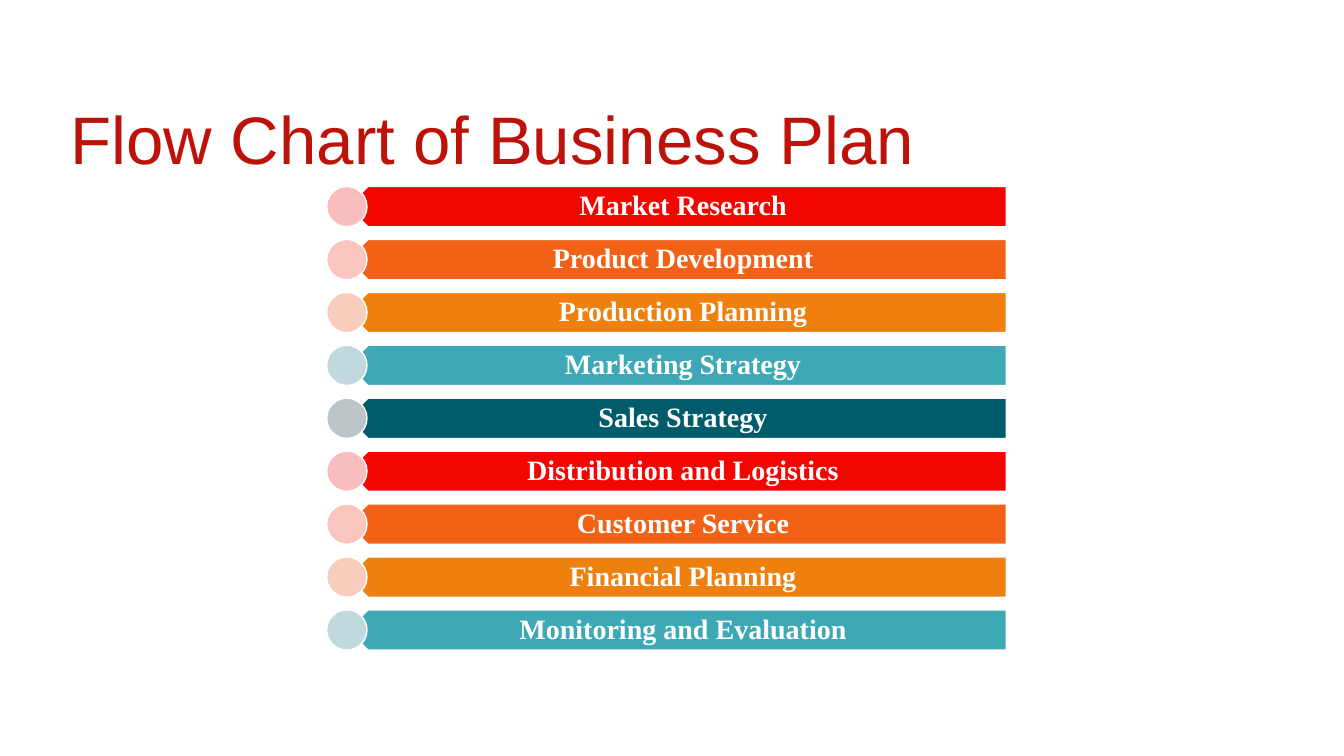
from dataclasses import dataclass

import pptx
import pptx.dml.color
import pptx.enum.shapes
import pptx.enum.text
import pptx.util
from pptx.dml.color import RGBColor
from pptx.util import Inches

RED = RGBColor(0xF4, 0x06, 0x00)
VERMILION = RGBColor(0xF2, 0x62, 0x16)
ORANGE = RGBColor(0xF0, 0x80, 0x0D)
TEAL = RGBColor(0x3E, 0xA8, 0xB6)
PETROL = RGBColor(0x00, 0x5B, 0x6B)
PALE_RED = RGBColor(0xFA, 0xBD, 0xBD)
PALE_VERMILION = RGBColor(0xF9, 0xC5, 0xBD)
PALE_ORANGE = RGBColor(0xF8, 0xCD, 0xBD)
PALE_TEAL = RGBColor(0xC0, 0xD9, 0xDE)
PALE_PETROL = RGBColor(0xBD, 0xC4, 0xC7)
WHITE = RGBColor(0xFF, 0xFF, 0xFF)
TITLE_RED = RGBColor(0xBD, 0x12, 0x09)

FIRST_TOP = 1.85
ROW_PITCH = 0.525
ROW_HEIGHT = 0.4


@dataclass(frozen=True)
class Theme:
    bar: RGBColor
    circle: RGBColor


@dataclass(frozen=True)
class Step:
    label: str
    theme: Theme
    top: float


THEMES = [
    Theme(RED, PALE_RED),
    Theme(VERMILION, PALE_VERMILION),
    Theme(ORANGE, PALE_ORANGE),
    Theme(TEAL, PALE_TEAL),
    Theme(PETROL, PALE_PETROL),
]
LABELS = [
    "Market Research",
    "Product Development",
    "Production Planning",
    "Marketing Strategy",
    "Sales Strategy",
    "Distribution and Logistics",
    "Customer Service",
    "Financial Planning",
    "Monitoring and Evaluation",
]
STEPS = [
    Step(label, THEMES[i % len(THEMES)], FIRST_TOP + i * ROW_PITCH)
    for i, label in enumerate(LABELS)
]


def add_outlined(s, kind, left: float, top: float, width: float, fill: RGBColor):
    sp = s.shapes.add_shape(
        kind, Inches(left), Inches(top), Inches(width), Inches(ROW_HEIGHT)
    )
    sp.shadow.inherit = False
    sp.fill.solid()
    sp.fill.fore_color.rgb = fill
    sp.line.color.rgb = WHITE
    sp.line.width = pptx.util.Pt(1)
    return sp


def add_text(s, text: str, left: float, top: float, width: float, height: float,
             font: str, size: int, color: RGBColor, spacing: float):
    sp = s.shapes.add_textbox(
        Inches(left), Inches(top), Inches(width), Inches(height)
    )
    tf = sp.text_frame
    tf.word_wrap = True
    tf.text = text
    p = tf.paragraphs[0]
    p.line_spacing = spacing
    r = p.runs[0]
    r.font.name = font
    r.font.size = pptx.util.Pt(size)
    r.font.color.rgb = color
    return tf


def add_step(s, step: Step) -> None:
    shapes = pptx.enum.shapes.MSO_SHAPE
    bar = add_outlined(s, shapes.PENTAGON, 3.45, step.top, 6.53, step.theme.bar)
    bar.rotation = 180
    tf = add_text(s, step.label, 3.55, step.top, 6.43, ROW_HEIGHT,
                  "Times New Roman", 20, WHITE, 0.9)
    tf.vertical_anchor = pptx.enum.text.MSO_ANCHOR.MIDDLE
    tf.margin_left = Inches(0.18)
    tf.margin_right = Inches(0.16)
    tf.margin_top = tf.margin_bottom = Inches(0.08)
    p = tf.paragraphs[0]
    p.alignment = pptx.enum.text.PP_ALIGN.CENTER
    p.runs[0].font.bold = True
    add_outlined(s, shapes.OVAL, 3.24, step.top, ROW_HEIGHT, step.theme.circle)


def main() -> None:
    prs = pptx.Presentation()
    prs.slide_width = Inches(13.33)
    prs.slide_height = Inches(7.5)
    s = prs.slides.add_slide(prs.slide_layouts[6])
    add_text(s, "Flow Chart of Business Plan", 0.6, 1.04, 12.02, 1.18,
             "Arial", 48, TITLE_RED, 0.85)
    for step in STEPS:
        add_step(s, step)
    prs.save("out.pptx")


if __name__ == "__main__":
    main()
